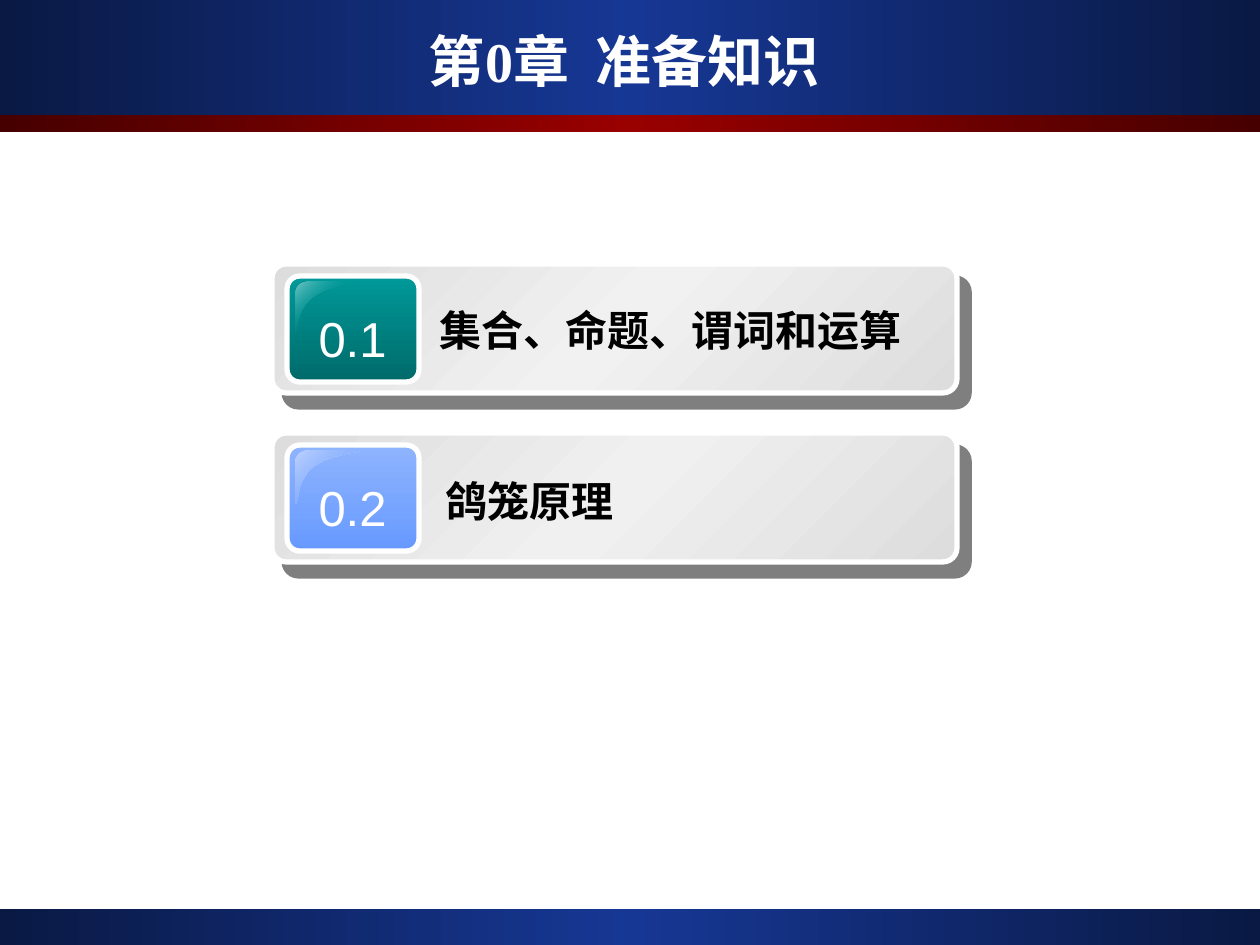
from dataclasses import dataclass

from lxml.etree import SubElement as Sub
from pptx import Presentation
from pptx.dml.color import RGBColor
from pptx.enum.shapes import MSO_SHAPE as Kind
from pptx.enum.text import MSO_ANCHOR as Anchor, MSO_AUTO_SIZE as Auto, PP_ALIGN as Align
from pptx.oxml.ns import qn
from pptx.util import Emu, Pt

PX = 914400 / 126  # EMU in one px
STEP = 169         # from one row to the next
TOP = 264


@dataclass(frozen=True)
class Box:
    x: int
    y: int
    w: int
    h: int

    def emu(self) -> list:
        return [px(n) for n in (self.x, self.y, self.w, self.h)]


@dataclass(frozen=True)
class Stop:
    pos: int
    hue: str
    alpha: int = 100


@dataclass(frozen=True)
class Row:
    num: str
    text: str
    font: str
    label: Box
    lead: float
    tile: tuple
    gloss: tuple
    mid: str


def px(n: float) -> Emu:
    return Emu(round(n * PX))


def color(hue: str) -> RGBColor:
    return RGBColor.from_string(hue)


def ramp(shape, stops: tuple, angle: int) -> None:
    """Fill a shape with a linear gradient, angle clockwise."""
    shape.fill.gradient()
    grad = shape._element.spPr.find(qn("a:gradFill"))
    for part in list(grad):
        grad.remove(part)
    items = Sub(grad, qn("a:gsLst"))
    for stop in stops:
        item = Sub(items, qn("a:gs"), pos=str(stop.pos * 1000))
        tint = Sub(item, qn("a:srgbClr"), val=stop.hue)
        if stop.alpha < 100:
            Sub(tint, qn("a:alpha"), val=str(stop.alpha * 1000))
    Sub(grad, qn("a:lin"), ang=str(angle * 60000), scaled="0")


def cast(effects, dist: float, angle: int, hue: str, alpha: int) -> None:
    """Add a hard outer shadow to an effect list."""
    shade = Sub(effects, qn("a:outerShdw"), blurRad="0", dist=str(Pt(dist)),
                dir=str(angle * 60000), algn="ctr", rotWithShape="0")
    Sub(Sub(shade, qn("a:srgbClr"), val=hue), qn("a:alpha"), val=str(alpha * 1000))


def panel(shapes, kind: Kind, box: Box, stops: tuple, angle: int,
          edge: str = "", bend: float = 0):
    shape = shapes.add_shape(kind, *box.emu())
    shape.shadow.inherit = False
    ramp(shape, stops, angle)
    if edge:
        shape.line.color.rgb = color(edge)
        shape.line.width = Pt(3)
        shape.adjustments[0] = bend
    else:
        shape.line.fill.background()
    return shape


def write(frame, text: str, *, size: int, font: str, hue: str, bold: bool = False,
          align: Align = Align.LEFT, lead: float = 1.0, wrap: bool = True,
          fit: Auto = Auto.SHAPE_TO_FIT_TEXT, gap: int = 0, shade: bool = False) -> None:
    """Write one paragraph; gap widens its first space, in points."""
    frame.word_wrap = wrap
    frame.auto_size = fit
    para = frame.paragraphs[0]
    para.alignment = align
    para.line_spacing = lead
    for part in filter(None, text.partition(" ")):
        run = para.add_run()
        run.text = part
        run.font.size = Pt(size)
        run.font.bold = bold
        run.font.color.rgb = color(hue)
        if shade:
            cast(Sub(run.font._element, qn("a:effectLst")), 1.5, 45, "000000", 100)
        run.font.name = font
        if part == " ":
            run.font._element.set("spc", str(gap * 100))


def curve(a: tuple, b: tuple, c: tuple, d: tuple, count: int = 12) -> list:
    """Points along a cubic curve, without its start."""
    def at(t: float, i: int) -> float:
        s = 1 - t
        return s**3 * a[i] + 3 * s * s * t * b[i] + 3 * s * t * t * c[i] + t**3 * d[i]
    return [(at(n / count, 0), at(n / count, 1)) for n in range(1, count + 1)]


def shine(shapes, x: int, y: int, stops: tuple) -> None:
    """Draw the highlight in the top left corner of a tile."""
    dots = [(13, 0), *curve((13, 0), (5, 0), (0, 5), (0, 11)), (0, 53),
            *curve((0, 53), (3, 53), (1, 28), (18, 16)),
            *curve((18, 16), (34, 4), (66, 2), (66, 0))]
    spots = [(px(x + u), px(y + v)) for u, v in dots]
    pen = shapes.build_freeform(*spots[0])
    pen.add_line_segments(spots[1:], close=True)
    shape = pen.convert_to_shape()
    shape.shadow.inherit = False
    shape.line.fill.background()
    ramp(shape, stops, 225)


def draw(slide, row: Row, y: int) -> None:
    shapes = slide.shapes.add_group_shape().shapes
    # Bar with its shadow
    grey = Stop(0, "DDDDDD"), Stop(50, row.mid), Stop(100, "DDDDDD")
    bar = panel(shapes, Kind.ROUNDED_RECTANGLE, Box(272, y, 685, 129), grey, 225, "FFFFFF", 0.11)
    cast(bar._element.spPr.find(qn("a:effectLst")), 10.6, 49, "000000", 50)
    # Number tile
    panel(shapes, Kind.ROUNDED_RECTANGLE, Box(287, y + 12, 132, 106), row.tile, 90, "FFFFFF", 0.12)
    shine(shapes, 296, y + 18, row.gloss)
    num = shapes.add_textbox(*Box(306, y + 45, 93, 66).emu())
    write(num.text_frame, row.num, size=28, font="Arial", hue="FFFFFF",
          align=Align.CENTER, lead=0.9, wrap=False, shade=True)
    # Label
    spot = row.label
    label = shapes.add_textbox(*Box(spot.x, y + spot.y, spot.w, spot.h).emu())
    write(label.text_frame, row.text, size=24, font=row.font, hue="000000",
          bold=True, lead=row.lead)


BLUE = Stop(0, "0A1944"), Stop(50, "163794"), Stop(100, "0A1944")
RED = Stop(0, "460000"), Stop(50, "990000"), Stop(100, "460000")
BANDS = [(Box(0, 909, 1260, 36), BLUE), (Box(0, 0, 1260, 115), BLUE),
         (Box(0, 115, 1260, 17), RED)]
ROWS = [
    Row("0.1", "集合、命题、谓词和运算", "Arial", Box(427, 52, 490, 43), 0.6,
        (Stop(0, "009999"), Stop(100, "006A6A")),
        (Stop(0, "73C6C6"), Stop(50, "009999", 0), Stop(100, "73C6C6")), "F1F1F1"),
    Row("0.2", "鸽笼原理", "Times New Roman", Box(433, 31, 503, 68), 1.1,
        (Stop(0, "8FB4FE"), Stop(100, "6699FF")),
        (Stop(0, "6699FF", 0), Stop(100, "BDD2FE")), "F0F0F0"),
]


def main() -> None:
    deck = Presentation()
    deck.slide_width, deck.slide_height = px(1260), px(945)
    slide = deck.slides.add_slide(deck.slide_layouts[5])

    for box, stops in BANDS:
        panel(slide.shapes, Kind.RECTANGLE, box, stops, 180)
    for i, row in enumerate(ROWS):
        draw(slide, row, TOP + i * STEP)

    # Title, in front of the bands
    title = slide.shapes.title
    title.left, title.top, title.width, title.height = Box(42, 21, 1165, 78).emu()
    title.text_frame.vertical_anchor = Anchor.MIDDLE
    write(title.text_frame, "第0章 准备知识", size=32, font="Times New Roman", hue="FFFFFF",
          bold=True, align=Align.CENTER, fit=Auto.NONE, gap=8)
    slide.shapes._spTree.append(title._element)

    deck.save("out.pptx")


if __name__ == "__main__":
    main()
